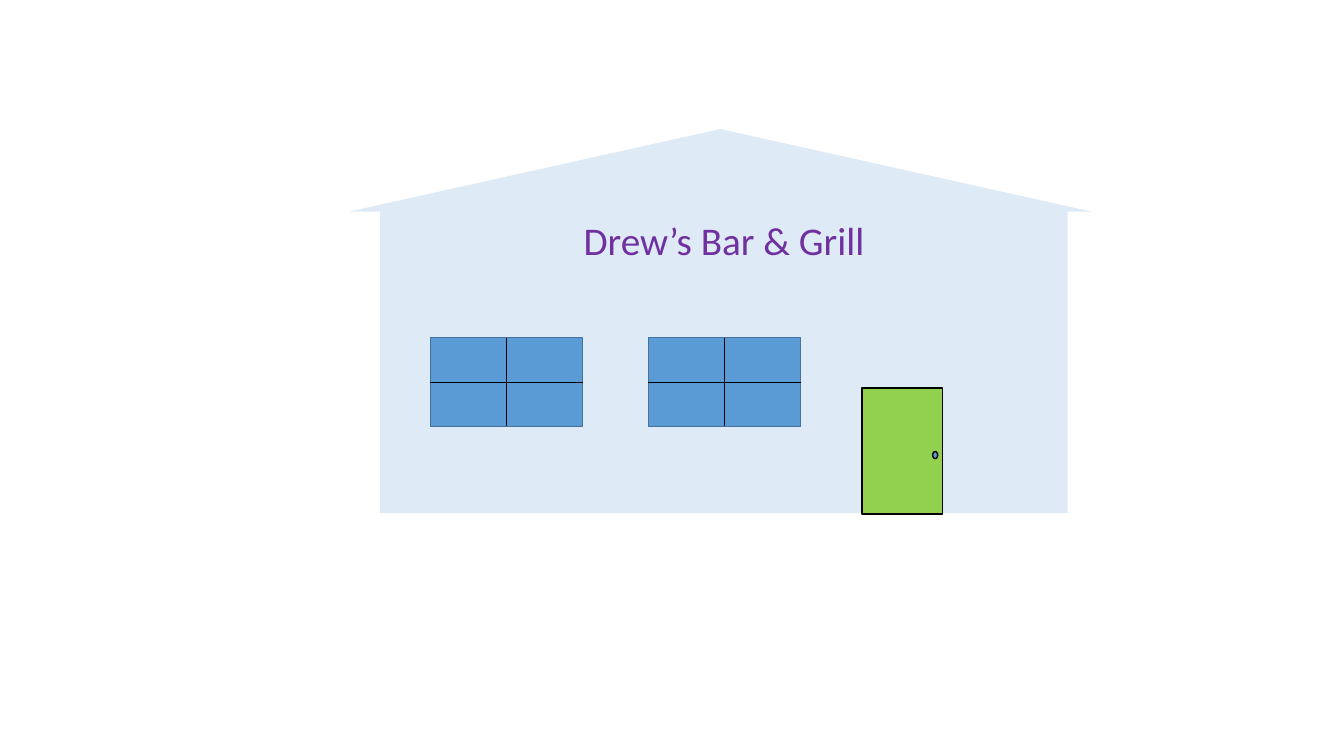
"""Draw the front of a bar and grill with its sign, windows and door."""
import dataclasses
import typing

import lxml.etree
import pptx
import pptx.dml.color
import pptx.enum.shapes
import pptx.enum.text
import pptx.oxml.ns
import pptx.shapes.autoshape
import pptx.slide
import pptx.util

RGB = pptx.dml.color.RGBColor
KIND = pptx.enum.shapes.MSO_SHAPE

PALE = RGB(0xDE, 0xEB, 0xF7)
BLUE = RGB(0x5B, 0x9B, 0xD5)
NAVY = RGB(0x43, 0x73, 0x9E)
GREEN = RGB(0x92, 0xD0, 0x50)
BLACK = RGB(0x00, 0x00, 0x00)
PURPLE = RGB(0x70, 0x30, 0xA0)

SCALE = 9144


@dataclasses.dataclass(frozen=True)
class Box:
    left: int
    top: int
    width: int
    height: int

    def emu(self) -> list[pptx.util.Emu]:
        return [px(side) for side in dataclasses.astuple(self)]


@dataclasses.dataclass(frozen=True)
class Part:
    kind: KIND
    box: Box
    fill: RGB
    edge: typing.Optional[RGB] = None


WALL = Part(KIND.RECTANGLE, Box(377, 208, 682, 301), PALE)
ROOF = Part(KIND.ISOSCELES_TRIANGLE, Box(346, 128, 737, 82), PALE)
DOOR = Part(KIND.RECTANGLE, Box(855, 385, 80, 125), GREEN, BLACK)
KNOB = Part(KIND.OVAL, Box(925, 448, 5, 7), BLUE, BLACK)
SIGN = Box(377, 210, 682, 57)
PANES = [Box(left, 335, 151, 88) for left in (427, 643)]

FRAME = {
    "word_wrap": True,
    "auto_size": pptx.enum.text.MSO_AUTO_SIZE.SHAPE_TO_FIT_TEXT,
}
FONT = {"name": "Calibri", "size": pptx.util.Pt(28)}


def px(count: int) -> pptx.util.Emu:
    return pptx.util.Emu(count * SCALE)


def style(target: object, values: dict[str, typing.Any]) -> None:
    for name, value in values.items():
        setattr(target, name, value)


def draw_part(slide: pptx.slide.Slide, part: Part) -> None:
    shape = slide.shapes.add_shape(part.kind, *part.box.emu())
    shape.shadow.inherit = False
    shape.fill.solid()
    shape.fill.fore_color.rgb = part.fill
    if part.edge is None:
        shape.line.fill.background()
    else:
        shape.line.color.rgb = part.edge
        shape.line.width = pptx.util.Pt(1)


def draw_bar(slide: pptx.slide.Slide, ends: tuple[int, int, int, int]) -> None:
    bar = slide.shapes.add_connector(
        pptx.enum.shapes.MSO_CONNECTOR.STRAIGHT, *map(px, ends)
    )
    bar.line.color.rgb = BLACK
    bar.line.width = pptx.util.Pt(0.5)
    lxml.etree.SubElement(bar._element.spPr, pptx.oxml.ns.qn("a:effectLst"))


def draw_cross(slide: pptx.slide.Slide, box: Box) -> None:
    right, base = box.left + box.width, box.top + box.height
    mid_x, mid_y = box.left + box.width // 2, box.top + box.height // 2
    draw_bar(slide, (box.left, mid_y, right, mid_y))
    draw_bar(slide, (mid_x, base, mid_x, box.top))


def draw_sign(slide: pptx.slide.Slide, text: str) -> None:
    frame = slide.shapes.add_textbox(*SIGN.emu()).text_frame
    style(frame, FRAME)
    line = frame.paragraphs[0]
    line.alignment = pptx.enum.text.PP_ALIGN.CENTER
    run = line.add_run()
    run.text = text
    style(run.font, FONT)
    run.font.color.rgb = PURPLE


def main() -> None:
    deck = pptx.Presentation()
    style(deck, {"slide_width": px(1333), "slide_height": px(750)})
    slide = deck.slides.add_slide(deck.slide_layouts[6])
    for part in (WALL, ROOF):
        draw_part(slide, part)
    draw_sign(slide, "Drew’s Bar & Grill")
    panes = [Part(KIND.RECTANGLE, box, BLUE, NAVY) for box in PANES]
    for part in (DOOR, KNOB, *panes):
        draw_part(slide, part)
    for box in PANES:
        draw_cross(slide, box)
    deck.save("out.pptx")


if __name__ == "__main__":
    main()
